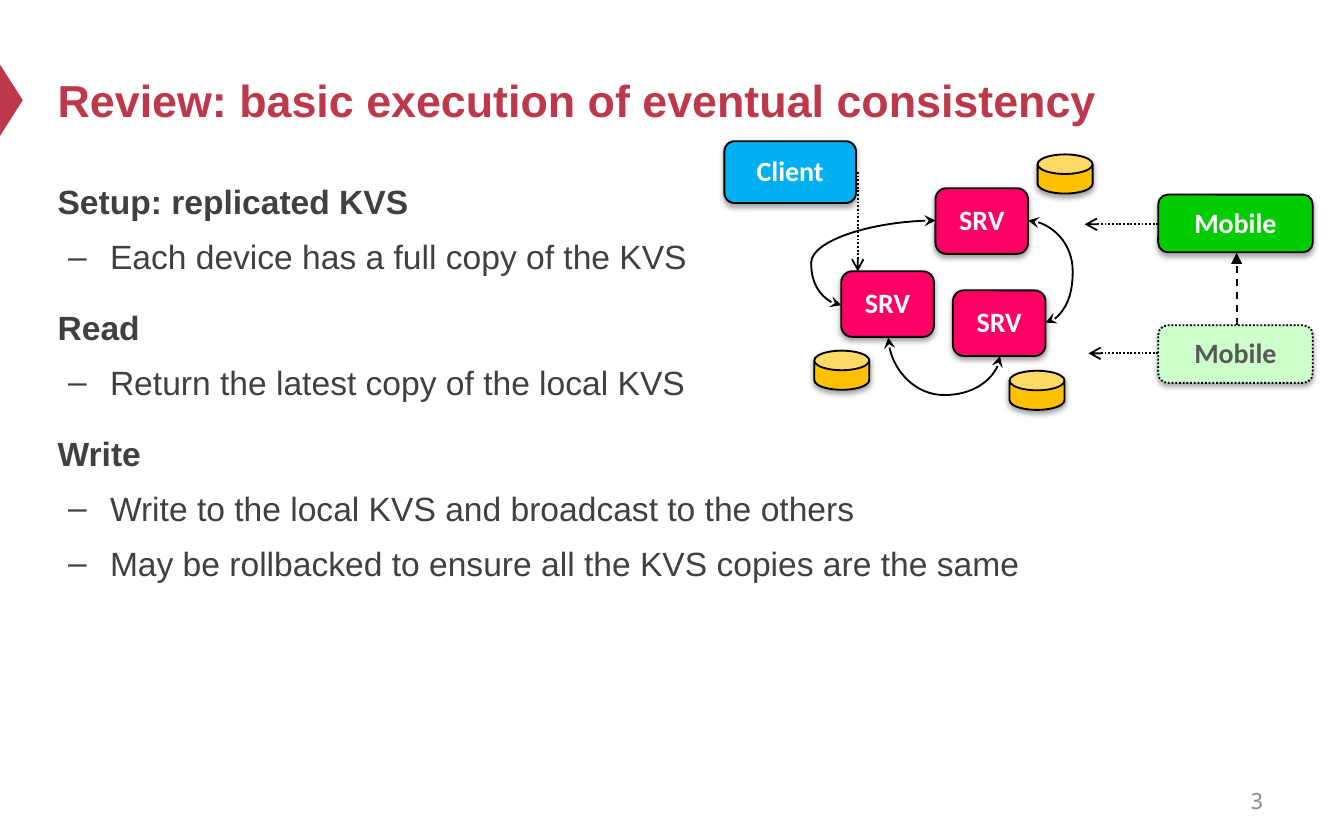
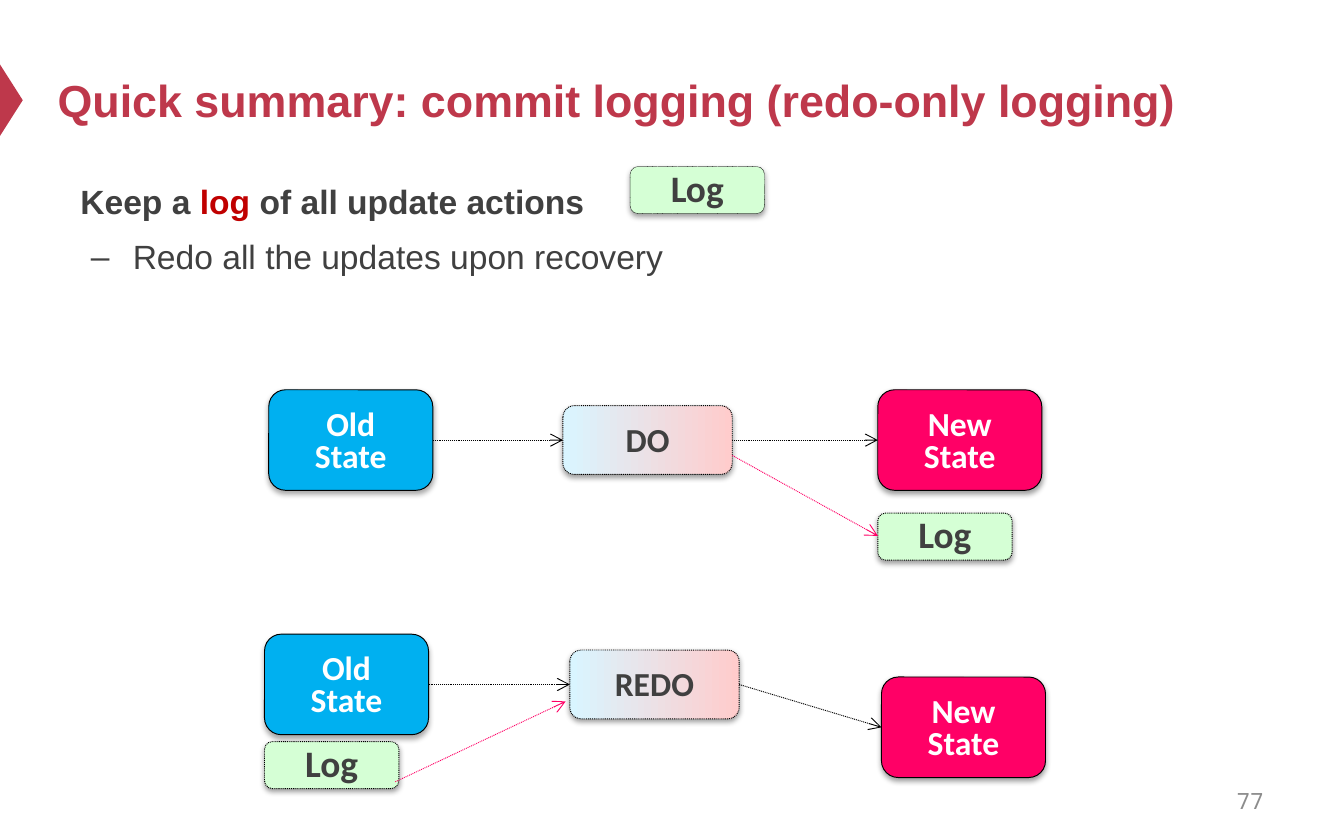
from dataclasses import dataclass

from lxml.etree import SubElement
from pptx import Presentation
from pptx.dml.color import RGBColor
from pptx.enum.dml import MSO_LINE_DASH_STYLE as Dash
from pptx.enum.shapes import MSO_CONNECTOR as Link, MSO_SHAPE as Preset
from pptx.enum.text import MSO_ANCHOR as Anchor, PP_ALIGN as Align
from pptx.oxml.ns import qn
from pptx.util import Cm, Pt


@dataclass(frozen=True)
class Theme:
    crimson: str = "BE384B"
    ink: str = "404040"
    accent: str = "C00000"
    grey: str = "8C8C8C"
    faded: str = "595959"
    black: str = "000000"
    white: str = "FFFFFF"
    pink: str = "FF0066"
    blue: str = "00B0F0"
    green: str = "00CC00"
    pale_green: str = "CCFFCC"
    log_green: str = "D5FFD5"
    gold: str = "FFC000"
    blend: tuple = ("D9F5FF", "FFCCCC")
    text_font: str = "Arial"
    label_font: str = "Calibri"
    number_font: str = "Noto Sans Mono"
    title_size: int = 24
    body_size: int = 18
    number_size: int = 12
    node_size: int = 15
    state_size: int = 18
    log_size: int = 20


class Deck:
    """Hold the theme and the current slide, and draw each kind of element."""

    def __init__(self, theme):
        self.theme = theme
        self.show = Presentation()
        self.show.slide_width, self.show.slide_height = Cm(25.4), Cm(15.88)
        self.slide = None

    def open_slide(self, title, number):
        t = self.theme
        self.slide = self.show.slides.add_slide(self.show.slide_layouts[6])
        marker = self.shape(Preset.ISOSCELES_TRIANGLE, (-0.46, 1.68), (1.35, 0.43), t.crimson)
        marker.rotation = 90
        heading = self.text_frame((0.84, 0.64), (22.86, 2.49), Anchor.MIDDLE)
        self.run(heading.paragraphs[0], title, t.title_size, t.crimson, t.text_font, True)
        footer = self.text_frame((18.21, 14.71), (5.92, 0.84), Anchor.MIDDLE)
        footer.paragraphs[0].alignment = Align.RIGHT
        self.run(footer.paragraphs[0], number, t.number_size, t.grey, t.number_font)

    def text_frame(self, at, size, anchor=Anchor.TOP):
        frame = self.slide.shapes.add_textbox(*map(Cm, at + size)).text_frame
        frame.word_wrap = True
        frame.vertical_anchor = anchor
        return frame

    def run(self, paragraph, words, size, color, font, bold=False):
        run = paragraph.add_run()
        run.text = words
        run.font.size, run.font.name, run.font.bold = Pt(size), font, bold
        run.font.color.rgb = RGBColor.from_string(color)

    def outline(self, at, size, sections):
        t = self.theme
        frame = self.text_frame(at, size)
        for index, (heading, points) in enumerate(sections):
            topic = frame.add_paragraph() if index else frame.paragraphs[0]
            topic.line_spacing = 1.2
            topic.space_before = Pt(12 if index else 0)
            for words, color in heading:
                self.run(topic, words, t.body_size, color, t.text_font, True)
            for words in points:
                self.point(frame.add_paragraph(), words)

    def point(self, paragraph, words):
        t = self.theme
        paragraph.level = 1
        paragraph.line_spacing = 1.2
        paragraph.space_before = Pt(3.6)
        props = paragraph._p.get_or_add_pPr()
        props.set("marL", str(Cm(0.99)))
        props.set("indent", str(Cm(-0.79)))
        SubElement(props, qn("a:buFont"), typeface=t.text_font)
        SubElement(props, qn("a:buChar"), char="–")
        self.run(paragraph, words, t.body_size, t.ink, t.text_font)

    def shape(self, preset, at, size, fill, line=None, dash=None):
        shape = self.slide.shapes.add_shape(preset, *map(Cm, at + size))
        if isinstance(fill, tuple):
            shape.fill.gradient()
            shape.fill.gradient_angle = 0
            for stop, color in zip(shape.fill.gradient_stops, fill):
                stop.color.rgb = RGBColor.from_string(color)
        else:
            shape.fill.solid()
            shape.fill.fore_color.rgb = RGBColor.from_string(fill)
        if line:
            self.stroke(shape.line, self.theme.black, line, dash)
        else:
            shape.line.fill.background()
        shape.shadow.inherit = False
        return shape

    def stroke(self, line, color, width, dash):
        line.color.rgb = RGBColor.from_string(color)
        line.width = Pt(width)
        if dash:
            line.dash_style = dash

    def cast_shadow(self, shape, distance=1.6, opacity=38):
        effects = shape._element.spPr.find(qn("a:effectLst"))
        shadow = SubElement(effects, qn("a:outerShdw"), blurRad=str(Pt(3.1)),
                            dist=str(Pt(distance)), dir="5400000", rotWithShape="0")
        color = SubElement(shadow, qn("a:srgbClr"), val=self.theme.black)
        SubElement(color, qn("a:alpha"), val=str(opacity * 1000))

    def box(self, lines, at, size, fill, color, font_size, insets, line=1, dash=None,
            spacing=None, shadow=(1.6, 38)):
        shape = self.shape(Preset.ROUNDED_RECTANGLE, at, size, fill, line, dash)
        self.cast_shadow(shape, *shadow)
        frame = shape.text_frame
        frame.word_wrap = False
        frame.vertical_anchor = Anchor.MIDDLE
        frame.margin_left = frame.margin_right = 0
        frame.margin_top, frame.margin_bottom = map(Cm, insets)
        for index, words in enumerate(lines):
            paragraph = frame.add_paragraph() if index else frame.paragraphs[0]
            paragraph.alignment = Align.CENTER
            if spacing:
                paragraph.line_spacing = spacing
            self.run(paragraph, words, font_size, color, self.theme.label_font, True)

    def node(self, name, at, size, fill, color=None, **style):
        self.box([name], at, size, fill, color or self.theme.white,
                 self.theme.node_size, (0.08, 0.13), **style)

    def log(self, at, line=0.5):
        t = self.theme
        self.box(["Log"], at, (2.54, 0.89), t.log_green, t.ink, t.log_size, (0, 0.1),
                 line, Dash.ROUND_DOT)

    def action(self, name, at):
        t = self.theme
        self.box([name], at, (3.2, 1.3), t.blend, t.ink, t.state_size, (0.1, 0),
                 0.5, Dash.ROUND_DOT, 0.8)

    def state(self, age, at, fill, **style):
        t = self.theme
        self.box([age, "State"], at, (3.1, 1.9), fill, t.white, t.state_size, (0.1, 0),
                 0.5, spacing=0.8, **style)

    def store(self, at):
        can = self.shape(Preset.CAN, at, (1.04, 0.74), self.theme.gold, 1)
        can.adjustments[0] = 0.5
        self.cast_shadow(can)

    def connector(self, kind, start, end, color, width, dash, **ends):
        link = self.slide.shapes.add_connector(kind, *map(Cm, start + end))
        self.stroke(link.line, color, width, dash)
        for place, head in ends.items():
            SubElement(link.line._get_or_add_ln(), qn(f"a:{place}End"), type=head)
        SubElement(link._element.spPr, qn("a:effectLst"))
        return link

    def arrow(self, start, end, width=1, color=None, dash=Dash.ROUND_DOT, tip="arrow"):
        self.connector(Link.STRAIGHT, start, end, color or self.theme.black, width, dash, tail=tip)

    def sync(self, start, end, bend, upright=False):
        if upright:
            middle = [(a + b) / 2 for a, b in zip(start, end)]
            across, down = (a - m for a, m in zip(start, middle))
            start = (middle[0] + down, middle[1] - across)
            end = (middle[0] - down, middle[1] + across)
        link = self.connector(Link.CURVE, start, end, self.theme.black, 1, None,
                              head="stealth", tail="stealth")
        props = link._element.spPr
        if upright:
            props.find(qn("a:xfrm")).set("rot", "5400000")
        guides = props.find(qn("a:prstGeom")).find(qn("a:avLst"))
        SubElement(guides, qn("a:gd"), name="adj1", fmla=f"val {round(bend * 100000)}")


def eventual_consistency(deck):
    t = deck.theme
    deck.open_slide("Review: basic execution of eventual consistency", "3")
    deck.outline((0.84, 3.15), (22.86, 10.46), [
        ([("Setup: replicated KVS", t.ink)], ["Each device has a full copy of the KVS"]),
        ([("Read", t.ink)], ["Return the latest copy of the local KVS"]),
        ([("Write", t.ink)], ["Write to the local KVS and broadcast to the others",
                              "May be rollbacked to ensure all the KVS copies are the same"]),
    ])
    for server in ((17.68, 3.56), (15.9, 5.13), (18.01, 5.49)):
        deck.node("SRV", server, (1.75, 1.24), t.pink)
    deck.sync((15.9, 5.77), (17.68, 4.17), -0.32)
    deck.sync((19.43, 4.17), (19.76, 6.1), 2.56)
    deck.sync((18.9, 6.73), (16.79, 6.38), -2.11, upright=True)
    soft = (1.8, 35)
    phone = (2.92, 1.09)
    deck.node("Client", (13.69, 2.67), (2.49, 1.17), t.blue, shadow=soft)
    deck.node("Mobile", (21.89, 3.68), phone, t.green, shadow=soft)
    deck.node("Mobile", (21.89, 6.15), phone, t.pale_green, t.faded,
              dash=Dash.ROUND_DOT, shadow=soft)
    for store in ((19.61, 2.92), (15.39, 6.63), (19.08, 7.01)):
        deck.store(store)
    deck.arrow((16.21, 3.25), (16.21, 5.13))
    deck.arrow((21.89, 4.24), (20.5, 4.24))
    deck.arrow((21.89, 6.68), (20.57, 6.68))
    deck.arrow((23.37, 6.15), (23.37, 4.78), dash=Dash.DASH, tip="triangle")


def commit_logging(deck):
    t = deck.theme
    deck.open_slide("Quick summary: commit logging (redo-only logging)", "77")
    deck.outline((1.27, 3.15), (22.86, 3.61), [
        ([("Keep a ", t.ink), ("log", t.accent), (" of all update actions", t.ink)],
         ["Redo all the updates upon recovery"]),
    ])
    deck.log((11.91, 3.15), line=0.25)
    flows = (
        ("DO", (10.64, 7.67), (5.08, 7.37), (16.59, 7.37), (16.59, 9.7)),
        ("REDO", (10.77, 12.29), (5, 11.99), (16.66, 12.8), (5, 14.02)),
    )
    for name, action, old, new, log in flows:
        deck.action(name, action)
        deck.state("New", new, t.pink)
        deck.state("Old", old, t.blue, shadow=(1.8, 35))
        deck.log(log)
        middle = action[1] + 0.65
        deck.arrow((old[0] + 3.1, middle), (action[0], middle), 0.5)
        deck.arrow((action[0] + 3.2, middle), (new[0], new[1] + 0.95), 0.5)
    deck.arrow((13.84, 8.61), (16.59, 10.13), 0.5, t.pink)
    deck.arrow((7.47, 14.78), (10.69, 13.26), 0.5, t.pink)


def main():
    deck = Deck(Theme())
    eventual_consistency(deck)
    commit_logging(deck)
    deck.show.save("out.pptx")


if __name__ == "__main__":
    main()
